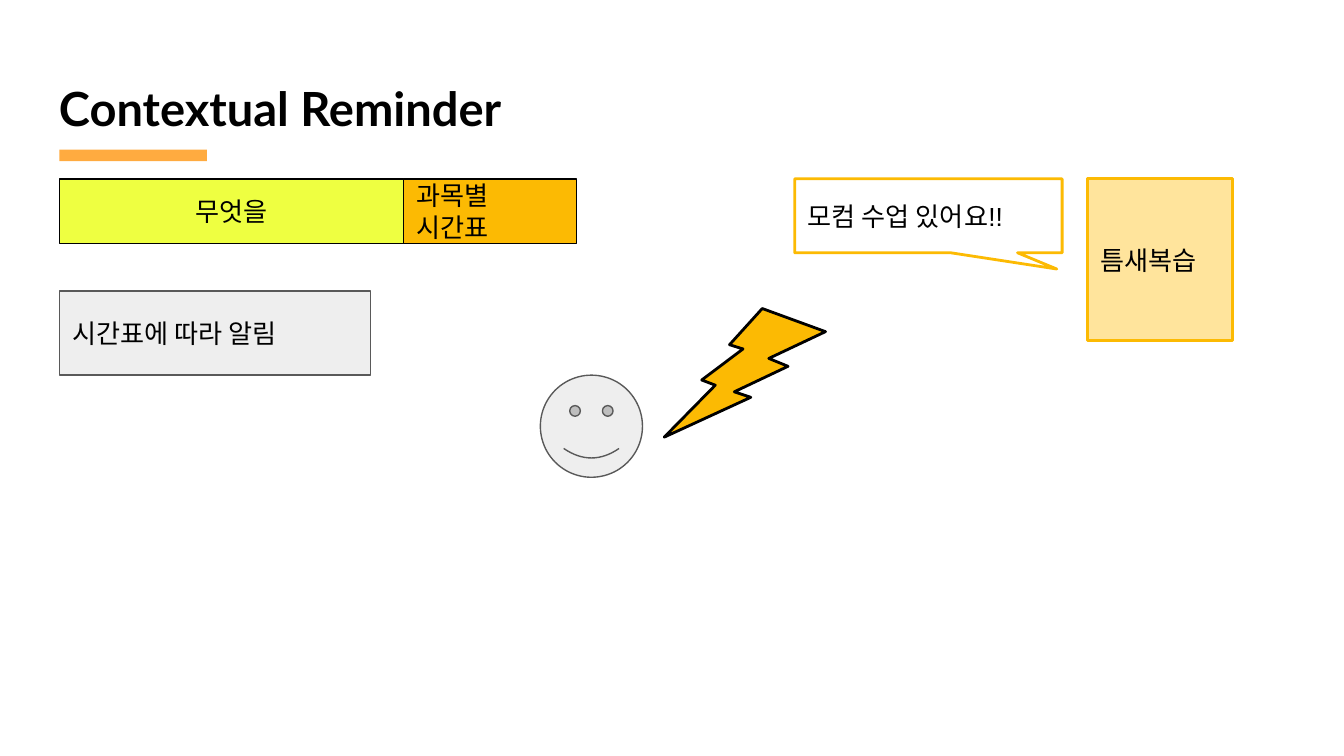
import pptx
import pptx.dml.color
import pptx.enum.shapes
import pptx.enum.text
import pptx.oxml.ns
import pptx.util
from lxml import etree

Pt = pptx.util.Pt
RGBColor = pptx.dml.color.RGBColor
Shape = pptx.enum.shapes.MSO_SHAPE
Align = pptx.enum.text.PP_ALIGN
Anchor = pptx.enum.text.MSO_ANCHOR

BLACK = RGBColor(0x00, 0x00, 0x00)
ORANGE = RGBColor(0xFF, 0xAB, 0x40)
YELLOW = RGBColor(0xEE, 0xFF, 0x41)
AMBER = RGBColor(0xFC, 0xBA, 0x03)
PALE_AMBER = RGBColor(0xFF, 0xDF, 0x87)
LIGHT_GRAY = RGBColor(0xEE, 0xEE, 0xEE)
DARK_GRAY = RGBColor(0x59, 0x59, 0x59)

# Content: positions are left, top, width, height in points
LEFT, ROW = 31.8, 95.8
TITLE = ("Contextual Reminder", (24.5, 35.3, 671, 45.4))
SHAPES = [
    dict(kind=Shape.RECTANGLE, at=(LEFT, 80.2, 79, 6.2), fill=ORANGE),
    dict(kind=Shape.RECTANGLE, at=(LEFT, ROW, 184.4, 34.6), fill=YELLOW,
         line=BLACK, text="무엇을", align=Align.CENTER),
    dict(kind=Shape.RECTANGLE, at=(LEFT + 184.4, ROW, 92.8, 34.6), fill=AMBER,
         line=BLACK, text="과목별 시간표"),
    dict(kind=Shape.SMILEY_FACE, at=(289.5, 201, 54.7, 54.7), fill=LIGHT_GRAY,
         line=DARK_GRAY),
    dict(kind=Shape.RECTANGLE, at=(582.4, ROW, 78, 86.6), fill=PALE_AMBER,
         alpha=82, line=AMBER, weight=1.5, text="틈새복습"),
    dict(kind=Shape.RECTANGULAR_CALLOUT, at=(425.7, ROW, 143.3, 39.6),
         adjust=(0.48, 0.72), line=AMBER, weight=1.5, text="모컴 수업 있어요!!"),
    dict(kind=Shape.RECTANGLE, at=(LEFT, 156, 166.8, 45), fill=LIGHT_GRAY,
         line=DARK_GRAY, text="시간표에 따라 알림"),
    dict(kind=Shape.LIGHTNING_BOLT, at=(355.9, 165.3, 86.4, 68.9), fill=AMBER,
         line=BLACK, weight=1.5, flip=True),
]


def write(box, text, size, font, anchor, align=Align.LEFT, bold=False):
    frame = box.text_frame
    frame.word_wrap = True
    frame.vertical_anchor = anchor
    frame.margin_left = frame.margin_right = Pt(7.2)
    frame.margin_top = frame.margin_bottom = Pt(7.2)
    para = frame.paragraphs[0]
    para.text = text
    para.alignment = align
    para.font.size = Pt(size)
    para.font.name = font
    para.font.bold = bold
    para.font.color.rgb = BLACK


def draw(page, kind, at, fill=None, alpha=None, line=None, weight=0.75,
         adjust=(), flip=False, text=None, align=Align.LEFT):
    shape = page.shapes.add_shape(kind, *map(Pt, at))
    shape.shadow.inherit = False
    for index, value in enumerate(adjust):
        shape.adjustments[index] = value
    if fill is None:
        shape.fill.background()
    else:
        shape.fill.solid()
        shape.fill.fore_color.rgb = fill
    if alpha is not None:
        color = shape.fill._xPr.find(".//" + pptx.oxml.ns.qn("a:srgbClr"))
        etree.SubElement(color, pptx.oxml.ns.qn("a:alpha"), val=str(alpha * 1000))
    if line is None:
        shape.line.fill.background()
    else:
        shape.line.color.rgb = line
        shape.line.width = Pt(weight)
    if flip:
        shape._element.spPr.xfrm.set("flipH", "1")
    if text:
        write(shape, text, 14, "Arial", Anchor.MIDDLE, align)


deck = pptx.Presentation()
deck.slide_width, deck.slide_height = Pt(720), Pt(405)
page = deck.slides.add_slide(deck.slide_layouts[6])

# Title
title, place = TITLE
write(page.shapes.add_textbox(*map(Pt, place)), title, 25.2, "Lato",
      Anchor.TOP, bold=True)

# Accent bar, boxes, face, callout and bolt
for item in SHAPES:
    draw(page, **item)

deck.save("out.pptx")
